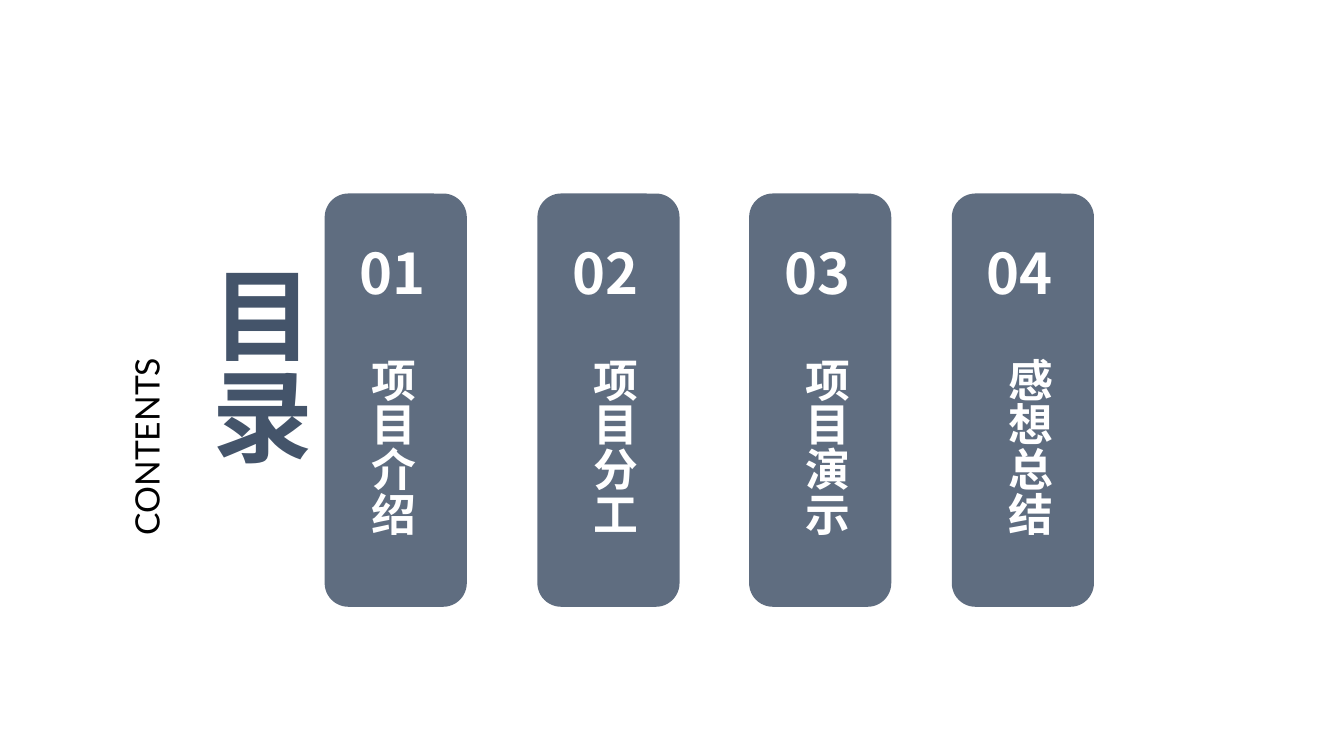
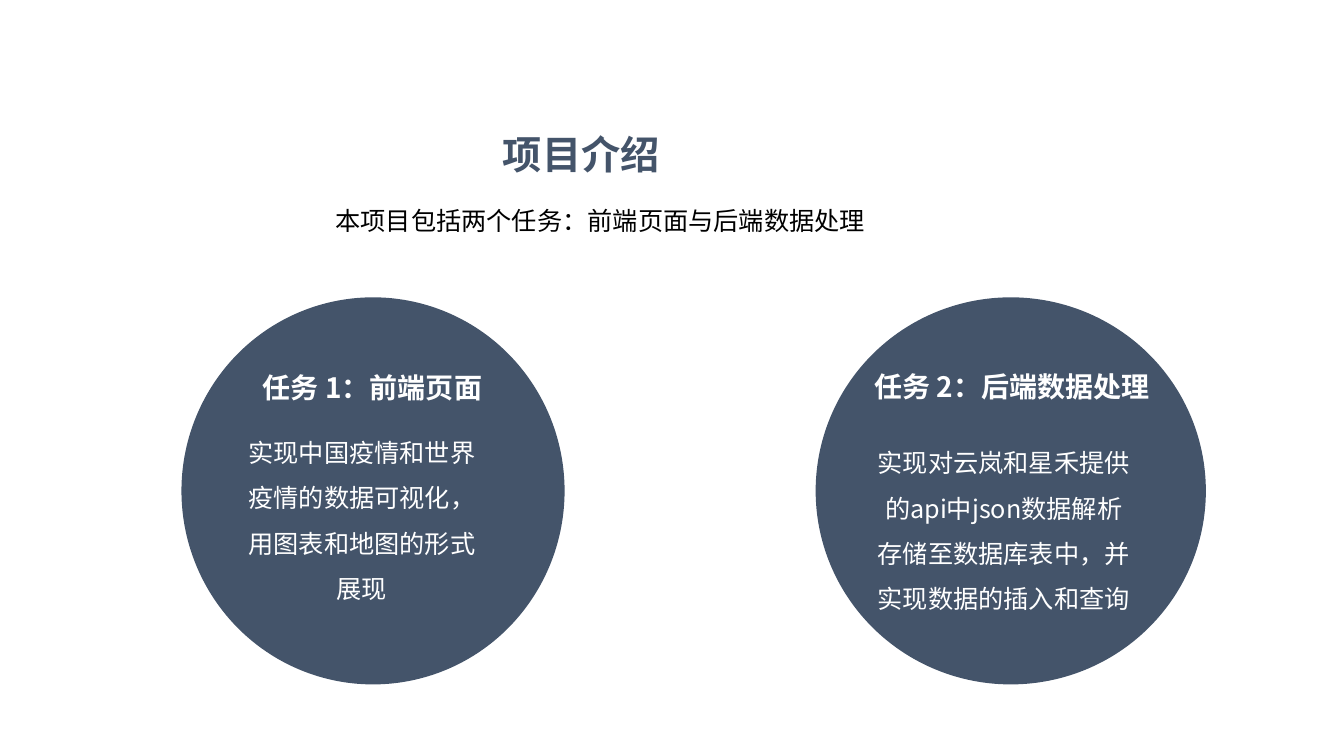
"""Build a contents slide and a project introduction slide."""
from dataclasses import dataclass

from lxml.etree import SubElement
from pptx import Presentation
from pptx.dml.color import RGBColor
from pptx.enum.shapes import MSO_SHAPE
from pptx.enum.text import MSO_AUTO_SIZE, PP_ALIGN
from pptx.oxml.ns import qn
from pptx.util import Inches, Pt


@dataclass(frozen=True)
class Theme:
    slate: str = "44546A"
    white: str = "FFFFFF"
    black: str = "000000"
    chinese_font: str = "Noto Sans CJK SC"
    latin_font: str = "Lato"
    display: int = 72
    number: int = 40
    label: int = 32
    title: int = 28
    caption: int = 24
    heading: int = 20
    body: int = 18
    card_opacity: int = 85


THEME = Theme()


def write(frame, text, *, size, color, font=THEME.chinese_font, bold=False,
          align=PP_ALIGN.LEFT, spacing=None):
    para = frame.paragraphs[0]
    para.alignment = align
    if spacing:
        para.line_spacing = spacing
    span = para.add_run()
    span.text = text
    span.font.name = font
    span.font.size = Pt(size)
    span.font.bold = bold
    span.font.color.rgb = RGBColor.from_string(color)
    SubElement(span.font._element, qn("a:ea")).set("typeface", font)


class SlideBuilder:
    def __init__(self, deck, theme):
        self.deck = deck
        self.theme = theme
        self.page = None

    def new_page(self):
        self.page = self.deck.slides.add_slide(self.deck.slide_layouts[6])

    def shape(self, kind, left, top, width, height, opacity=100):
        shape = self.page.shapes.add_shape(
            kind, Inches(left), Inches(top), Inches(width), Inches(height))
        shape.shadow.inherit = False
        shape.fill.solid()
        shape.fill.fore_color.rgb = RGBColor.from_string(self.theme.slate)
        shape.line.fill.background()
        if opacity < 100:
            color = shape.fill._xPr.find(qn("a:solidFill"))[0]
            SubElement(color, qn("a:alpha")).set("val", str(opacity * 1000))

    def text(self, text, left, top, width, height, *, direction=None, **style):
        box = self.page.shapes.add_textbox(
            Inches(left), Inches(top), Inches(width), Inches(height))
        frame = box.text_frame
        frame.word_wrap = True
        frame.auto_size = MSO_AUTO_SIZE.SHAPE_TO_FIT_TEXT
        if direction:
            frame._txBody.bodyPr.set("vert", direction)
        write(frame, text, **style)

    def card(self, number, label, left, label_left):
        theme = self.theme
        style = dict(color=theme.white, bold=True)
        self.shape(MSO_SHAPE.ROUNDED_RECTANGLE, left, 1.92, 1.41, 4.1,
                   theme.card_opacity)
        self.text(f"{number:02}", left + 0.25, 2.32, 0.91, 0.77,
                  size=theme.number, **style)
        self.text(label, label_left, 3.45, 0.74, 2.22, direction="eaVert",
                  size=theme.label, align=PP_ALIGN.JUSTIFY, **style)

    def task(self, circle, heading, heading_area, body, body_area):
        theme = self.theme
        style = dict(color=theme.white, align=PP_ALIGN.CENTER, spacing=1.5)
        self.shape(MSO_SHAPE.OVAL, *circle)
        self.text(heading, *heading_area, size=theme.heading, bold=True, **style)
        self.text(body, *body_area, size=theme.body, **style)


def build_contents(builder):
    theme = builder.theme
    builder.new_page()
    builder.text("目录", 1.81, 2.53, 1.41, 2.88, direction="eaVert",
                 size=theme.display, color=theme.slate, bold=True,
                 align=PP_ALIGN.JUSTIFY)
    builder.text("CONTENTS", 1.2, 2.53, 0.61, 2.88, direction="vert270",
                 size=theme.caption, color=theme.black, font=theme.latin_font,
                 align=PP_ALIGN.JUSTIFY)
    cards = [("项目介绍", 3.22, 3.47), ("项目分工", 5.33, 5.67),
             ("项目演示", 7.43, 7.77), ("感想总结", 9.44, 9.78)]
    for number, (label, left, label_left) in enumerate(cards, start=1):
        builder.card(number, label, left, label_left)


def build_introduction(builder):
    theme = builder.theme
    builder.new_page()
    builder.task((1.8, 2.95, 3.8, 3.84),
                 "任务 1：前端页面", (2.26, 3.46, 2.87, 0.6),
                 "实现中国疫情和世界疫情的数据可视化，用图表和地图的形式展现",
                 (2.26, 4.14, 2.66, 1.92))
    builder.task((8.09, 2.95, 3.87, 3.84),
                 "任务 2：后端数据处理", (8.48, 3.45, 3.11, 0.6),
                 "实现对云岚和星禾提供的api中json数据解析存储至数据库表中，"
                 "并实现数据的插入和查询",
                 (8.57, 4.24, 2.77, 1.92))
    builder.text("项目介绍", 4.89, 1.24, 3.54, 0.57, size=theme.title,
                 color=theme.slate, bold=True, align=PP_ALIGN.JUSTIFY)
    builder.text("本项目包括两个任务：前端页面与后端数据处理", 3.23, 1.99, 6.36, 0.4,
                 size=theme.body, color=theme.black)


def main():
    deck = Presentation()
    deck.slide_width = Inches(13.33)
    deck.slide_height = Inches(7.5)
    builder = SlideBuilder(deck, THEME)
    build_contents(builder)
    build_introduction(builder)
    deck.save("out.pptx")


if __name__ == "__main__":
    main()
